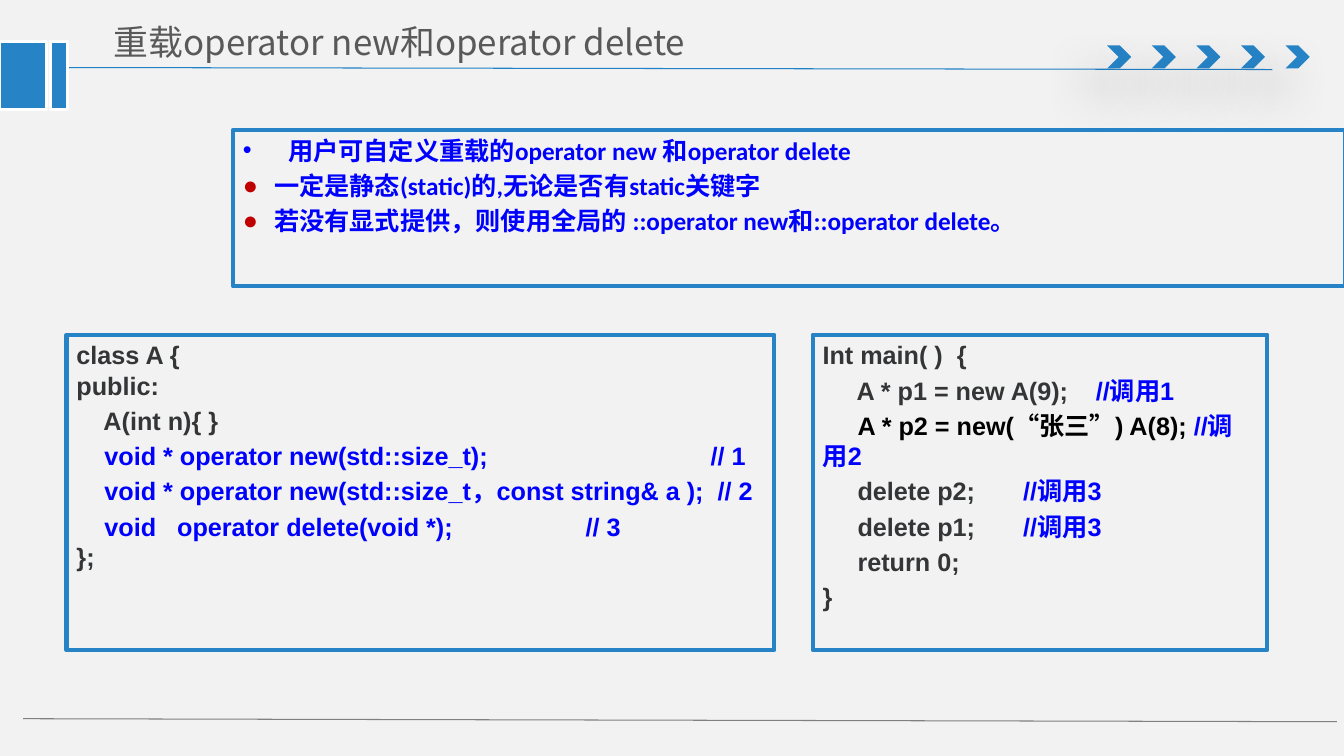
from lxml import etree
from pptx import Presentation
from pptx.dml.color import RGBColor
from pptx.enum import shapes, text
from pptx.oxml.ns import qn
from pptx.util import Inches, Pt

COLORS = {
    "background": "F2F2F2", "accent": "2683C6", "rule": "2181C6",
    "footer": "808080", "white": "FFFFFF", "title": "595959",
    "code": "343537", "blue": "0000FF", "black": "000000", "red": "C00000",
}
CJK_FONT = "Noto Sans CJK SC"

TITLE = "重载operator new和operator delete"

# Each paragraph is a list of (words, colour) runs.
RULES = [
    [("用户可自定义重载的operator new 和operator delete", "blue")],
    [("一定是静态(static)的,无论是否有static关键字", "blue")],
    [("若没有显式提供，则使用全局的 ::operator new和::operator delete。", "blue")],
]
# Bullet character, bullet colour, hanging indent in inches
BULLETS = [("•", "blue", 0.45), ("●", "red", 0.31), ("●", "red", 0.31)]

CLASS_CODE = [
    [("class A {\npublic:", "code")],
    [("    A(int n){ }", "code")],
    [("    void * operator new(std::size_t);\t// 1", "blue")],
    [("    void * operator new(std::size_t，const string& a );  // 2", "blue")],
    [("    void   operator delete(void *);\t// 3\n", "blue"), ("};", "code")],
]
CLASS_TABS = {2: 6.29, 4: 5.05}

MAIN_CODE = [
    [("Int main( )  {", "code")],
    [("     A * p1 = new A(9);\t", "code"), ("//调用1", "blue")],
    [("     ", "code"), ("A * p2 = new(“张三”) A(8); ", "black"), ("//调用2", "blue")],
    [("     delete p2;\t", "code"), ("//调用3", "blue")],
    [("     delete p1;\t", "code"), ("//调用3", "blue")],
    [("     return 0;", "code")],
    [("}", "code")],
]
MAIN_TABS = {1: 2.71, 3: 1.99, 4: 1.99}

# Left, top, width, height
TITLE_BOX = (0.99, 0.14, 6.7, 0.55)
RULES_BOX = (2.31, 1.29, 11.03, 1.55)
CLASS_BOX = (0.66, 3.32, 7.02, 3.13)
MAIN_BOX = (8.06, 3.32, 4.51, 3.13)
TABS_AT_LEFT = [(0, 0.41, 0.46, 0.68), (0.5, 0.41, 0.17, 0.68)]
CHEVRON_COUNT, CHEVRON_LEFT, CHEVRON_STEP = 5, 10.98, 0.4425


def rgb(name):
    return RGBColor.from_string(COLORS[name])


def inches(values):
    return [Inches(value) for value in values]


def child(parent, tag, **attributes):
    return etree.SubElement(parent, qn(tag), {k: str(v) for k, v in attributes.items()})


def add_rule(slide, start, end, color):
    rule = slide.shapes.add_connector(
        shapes.MSO_CONNECTOR.STRAIGHT, *inches(start + end))
    rule.line.color.rgb = rgb(color)
    rule.line.width = Pt(0.75)
    child(rule._element.spPr, "a:effectLst")


def add_block(slide, kind, box, fill=None, line=None, width=0):
    block = slide.shapes.add_shape(kind, *inches(box))
    block.shadow.inherit = False
    if fill:
        block.fill.solid()
        block.fill.fore_color.rgb = rgb(fill)
    else:
        block.fill.background()
    if line:
        block.line.color.rgb = rgb(line)
        block.line.width = Pt(width)
    else:
        block.line.fill.background()
    return block


def add_soft_shadow(block):
    effects = block._element.spPr.find(qn("a:effectLst"))
    shadow = child(effects, "a:outerShdw", blurRad=Pt(36), dist=Pt(24),
                   dir=130 * 60000, algn="tr", rotWithShape=0)
    child(child(shadow, "a:srgbClr", val=COLORS["black"]), "a:alpha", val=38000)


def add_run(paragraph, words, font, size, color, bold):
    run = paragraph.add_run()
    run.text = words
    run.font.name = font
    run.font.size = Pt(size)
    run.font.bold = bold
    run.font.color.rgb = rgb(color)
    child(run._r.get_or_add_rPr(), "a:ea", typeface=CJK_FONT)


def add_panel(slide, box, paragraphs, font, tabs=None, bullets=None):
    """Outlined panel; tabs maps a paragraph's index to its tab stop in inches."""
    panel = add_block(slide, shapes.MSO_SHAPE.RECTANGLE, box, line="accent", width=3)
    frame = panel.text_frame
    frame.word_wrap = True
    frame.vertical_anchor = text.MSO_ANCHOR.TOP
    for index, runs in enumerate(paragraphs):
        paragraph = frame.add_paragraph() if index else frame.paragraphs[0]
        paragraph.alignment = text.PP_ALIGN.LEFT
        paragraph.space_before = Pt(3.6 if index else 0)
        properties = paragraph._p.get_or_add_pPr()
        if bullets:
            mark, color, indent = bullets[index]
            properties.set("marL", str(Inches(indent)))
            properties.set("indent", str(-Inches(indent)))
            child(child(properties, "a:buClr"), "a:srgbClr", val=COLORS[color])
            child(properties, "a:buFont", typeface="Arial")
            child(properties, "a:buChar", char=mark)
        if tabs and index in tabs:
            child(child(properties, "a:tabLst"), "a:tab", pos=Inches(tabs[index]), algn="l")
        for words, color in runs:
            for number, part in enumerate(words.split("\n")):
                if number:
                    paragraph.add_line_break()
                if part:
                    add_run(paragraph, part, font, 18, color, True)


def add_title(slide):
    title = slide.shapes.add_textbox(*inches(TITLE_BOX)).text_frame
    title.word_wrap = True
    title.vertical_anchor = text.MSO_ANCHOR.MIDDLE
    title.margin_left = title.margin_right = Inches(0.14)
    title.margin_top = title.margin_bottom = Inches(0.07)
    add_run(title.paragraphs[0], TITLE, CJK_FONT, 24.9, "title", False)


def main():
    deck = Presentation()
    deck.slide_width, deck.slide_height = Inches(13.33), Inches(7.5)
    slide = deck.slides.add_slide(deck.slide_layouts[6])
    slide.background.fill.solid()
    slide.background.fill.fore_color.rgb = rgb("background")

    add_rule(slide, (0.53, 0.67), (12.62, 0.69), "rule")
    for index in range(CHEVRON_COUNT):
        left = CHEVRON_LEFT + index * CHEVRON_STEP
        add_soft_shadow(add_block(slide, shapes.MSO_SHAPE.CHEVRON,
                                  (left, 0.45, 0.24, 0.23), "accent"))
    add_rule(slide, (0.23, 7.13), (13.26, 7.16), "footer")
    for box in TABS_AT_LEFT:
        add_block(slide, shapes.MSO_SHAPE.RECTANGLE, box, "accent", "white", 2)

    add_title(slide)
    add_panel(slide, MAIN_BOX, MAIN_CODE, "Arial", tabs=MAIN_TABS)
    add_panel(slide, RULES_BOX, RULES, "Calibri", bullets=BULLETS)
    add_panel(slide, CLASS_BOX, CLASS_CODE, "Arial", tabs=CLASS_TABS)
    deck.save("out.pptx")


if __name__ == "__main__":
    main()
